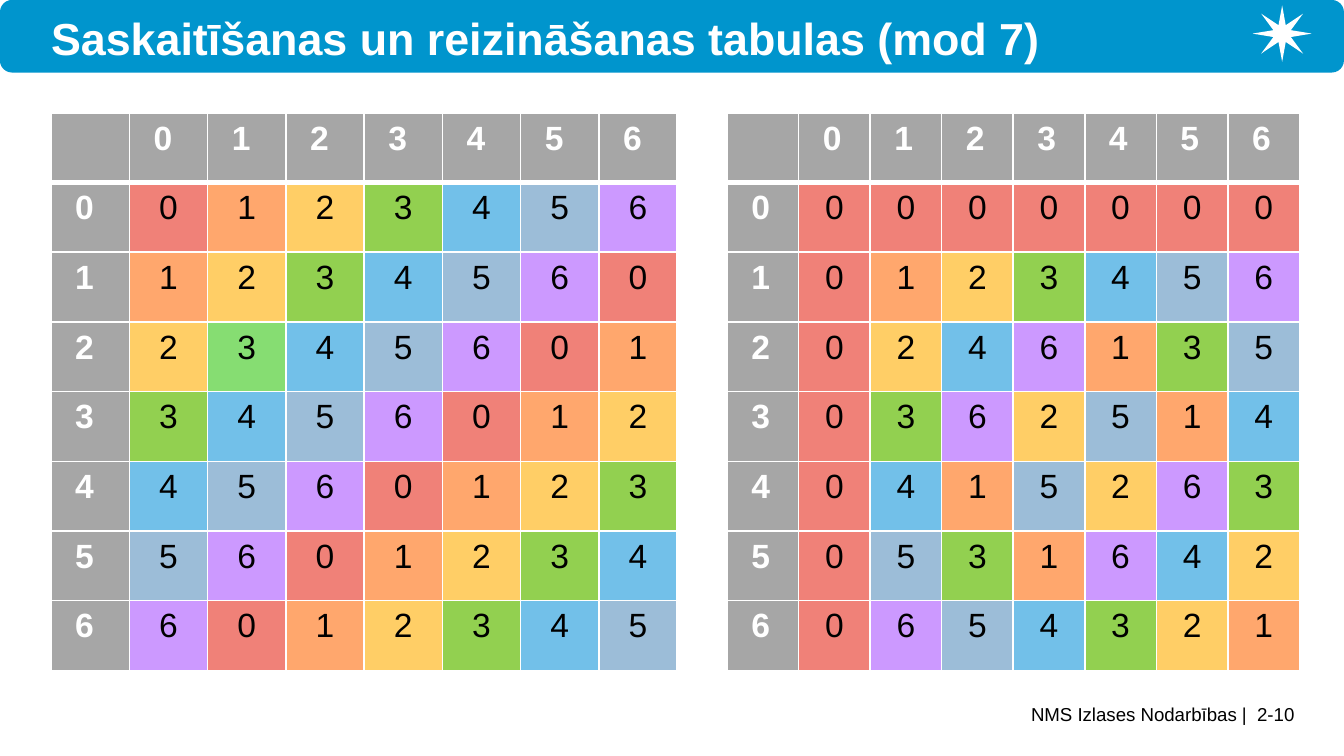
from lxml import etree
from pptx import Presentation
from pptx import util as u
from pptx.dml.color import RGBColor
from pptx.enum import shapes, text
from pptx.oxml.ns import qn

PX = 9144  # 100 px to the inch
N = 7
COLORS = {
    "white": "FFFFFF", "black": "000000", "band": "0095CD", "header": "A6A6A6",
    "light green": "86DD72",
    0: "F08178", 1: "FFA76D", 2: "FFCE66", 3: "92D050",
    4: "72C0E9", 5: "9CBDD8", 6: "CC99FF",
}


def write(frame, words, size=18, color="black", bold=False, align=text.PP_ALIGN.LEFT):
    para = frame.paragraphs[0]
    para.alignment = align
    span = para.add_run()
    span.text = words
    span.font.name = "Arial"
    span.font.size = u.Pt(size)
    span.font.bold = bold
    span.font.color.rgb = RGBColor.from_string(COLORS[color])


def paint_cell(cell, color, top=1, bottom=1):
    """Fill a cell and give it white borders, widths in points."""
    cell.fill.solid()
    cell.fill.fore_color.rgb = RGBColor.from_string(COLORS[color])
    props = cell._tc.get_or_add_tcPr()
    widths = {"a:lnL": 1, "a:lnR": 1, "a:lnT": top, "a:lnB": bottom}
    for place, (tag, width) in enumerate(widths.items()):
        line = etree.Element(qn(tag), w=str(u.Pt(width)))
        fill = etree.SubElement(line, qn("a:solidFill"))
        etree.SubElement(fill, qn("a:srgbClr"), val=COLORS["white"])
        props.insert(place, line)


deck = Presentation()
deck.slide_width, deck.slide_height = u.Inches(10), u.Inches(5.625)
page = deck.slides.add_slide(deck.slide_layouts[5])

# Footer
footer = page.shapes.add_textbox(241 * PX, 523 * PX, 722 * PX, 33 * PX)

# Title band with a plain star
band = page.shapes.add_shape(shapes.MSO_SHAPE.ROUNDED_RECTANGLE, 0, 0, 1000 * PX, 54 * PX)
star = page.shapes.add_shape(shapes.MSO_SHAPE.STAR_8_POINT, 932 * PX, 4 * PX, 44 * PX, 42 * PX)
star.adjustments[0] = 0.16
for shape, color in ((band, "band"), (star, "white")):
    shape.shadow.inherit = False
    shape.fill.solid()
    shape.fill.fore_color.rgb = RGBColor.from_string(COLORS[color])
    shape.line.fill.background()

title = page.shapes.title
title.left, title.top, title.width, title.height = 38 * PX, 7 * PX, 837 * PX, 42 * PX
band.element.getparent().append(title.element)  # in front of the band

for box, anchor in ((footer, text.MSO_ANCHOR.TOP), (title, text.MSO_ANCHOR.MIDDLE)):
    frame = box.text_frame
    frame.margin_left = frame.margin_right = frame.margin_top = frame.margin_bottom = 0
    frame.word_wrap = True
    frame.auto_size = text.MSO_AUTO_SIZE.NONE
    frame.vertical_anchor = anchor
write(footer.text_frame, "NMS Izlases Nodarbības |  2-10", size=10, align=text.PP_ALIGN.RIGHT)
write(title.text_frame, "Saskaitīšanas un reizināšanas tabulas (mod 7)",
      size=24, color="white", bold=True)

# Addition and multiplication tables
tables = []
for left, width, operation in (
    (38, 466, lambda a, b: a + b),
    (541, 426, lambda a, b: a * b),
):
    table = page.shapes.add_table(
        N + 1, N + 1, left * PX, 84 * PX, width * PX, 415 * PX).table
    tables.append(table)
    for row in range(N + 1):
        for col in range(N + 1):
            cell = table.cell(row, col)
            cell.margin_left = cell.margin_right = 18 * PX
            cell.margin_top = cell.margin_bottom = 5 * PX
            top, bottom = 3 if row == 1 else 1, 3 if row == 0 else 1
            if row and col:
                value = operation(row - 1, col - 1) % N
                light = operation(1, 1) == 2 and (row, col) == (3, 2)
                paint_cell(cell, "light green" if light else value, top, bottom)
                write(cell.text_frame, str(value), align=text.PP_ALIGN.CENTER)
            else:
                paint_cell(cell, "header", top, bottom)
                if row or col:
                    write(cell.text_frame, str(max(row, col) - 1), color="white", bold=True)

deck.save("out.pptx")
